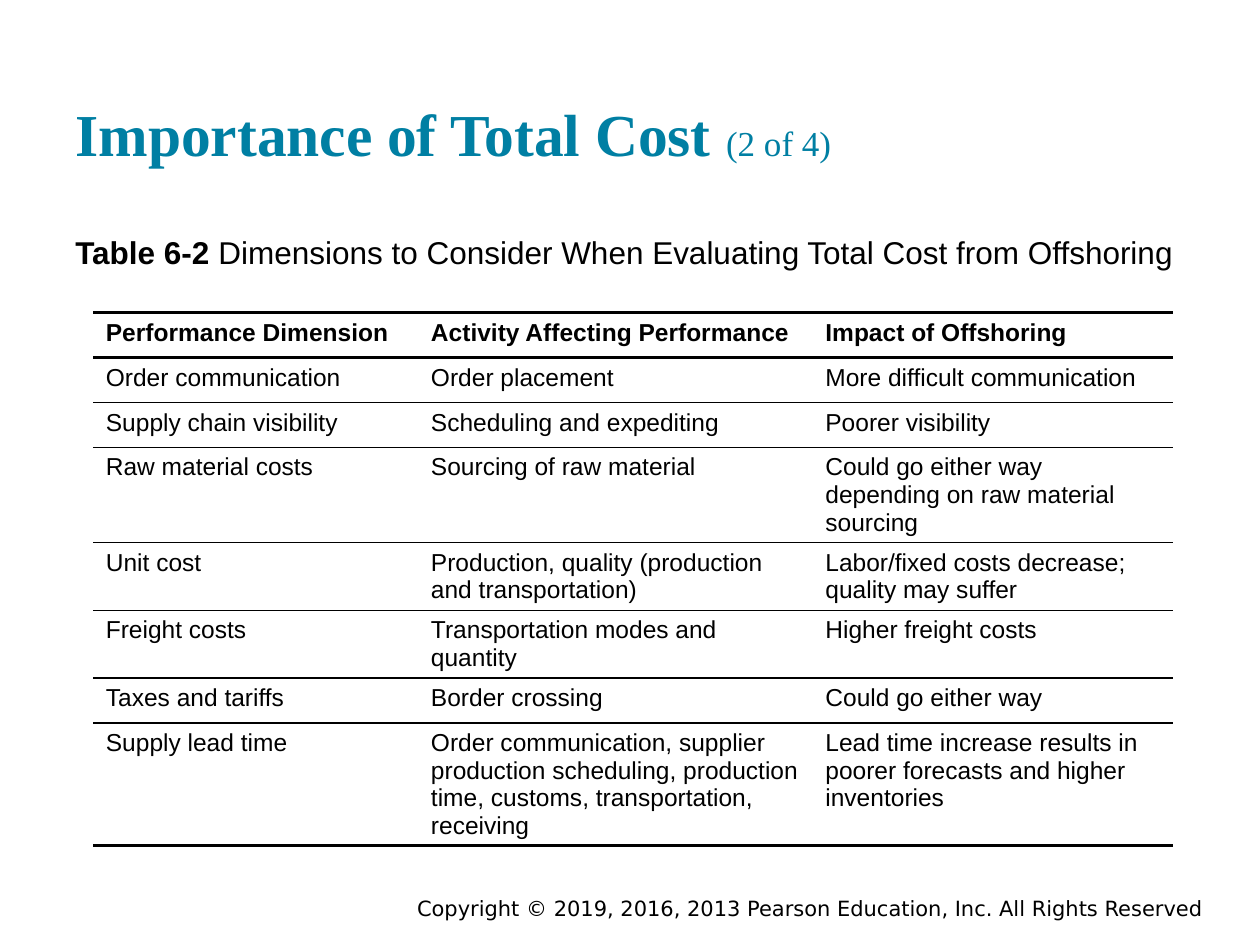
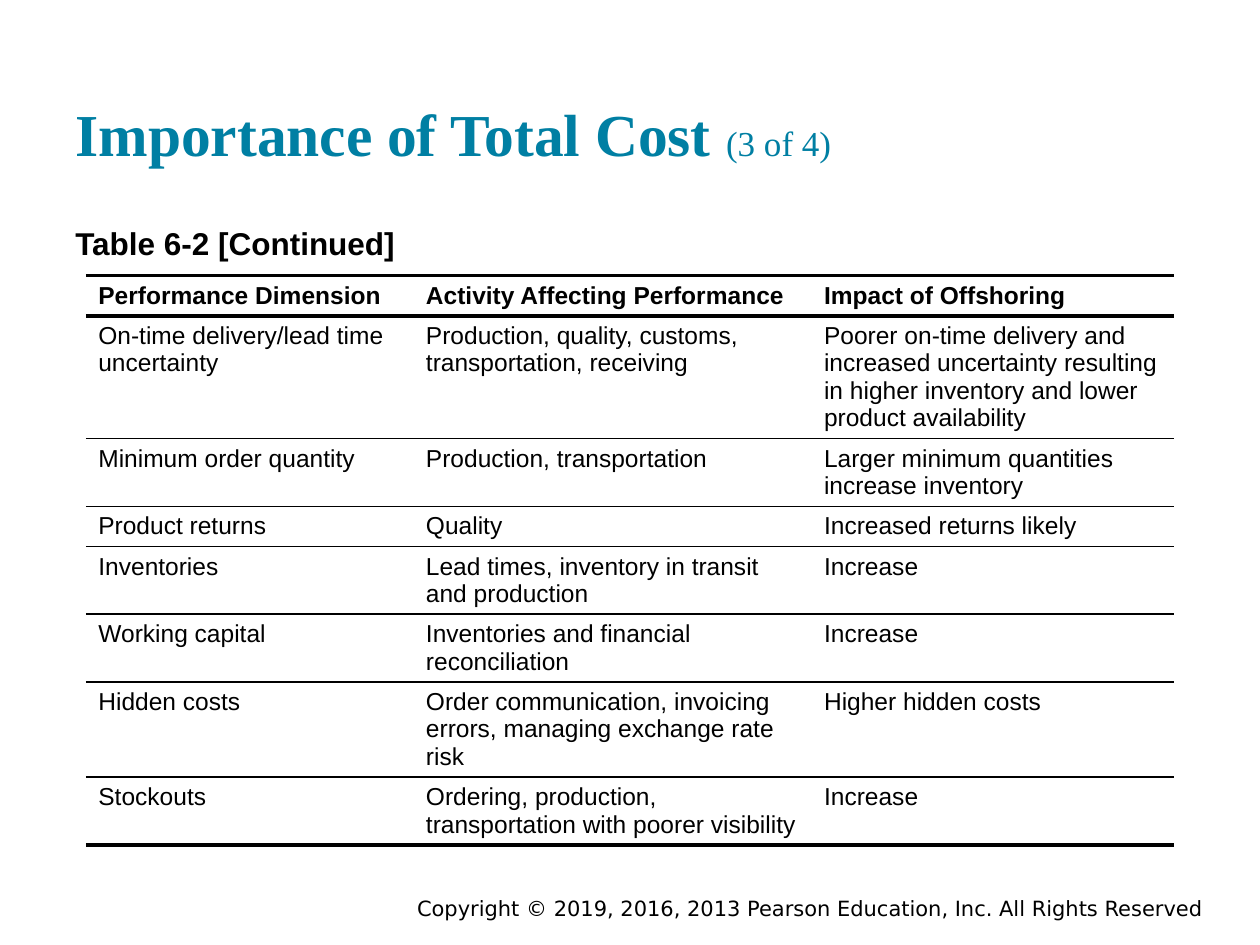
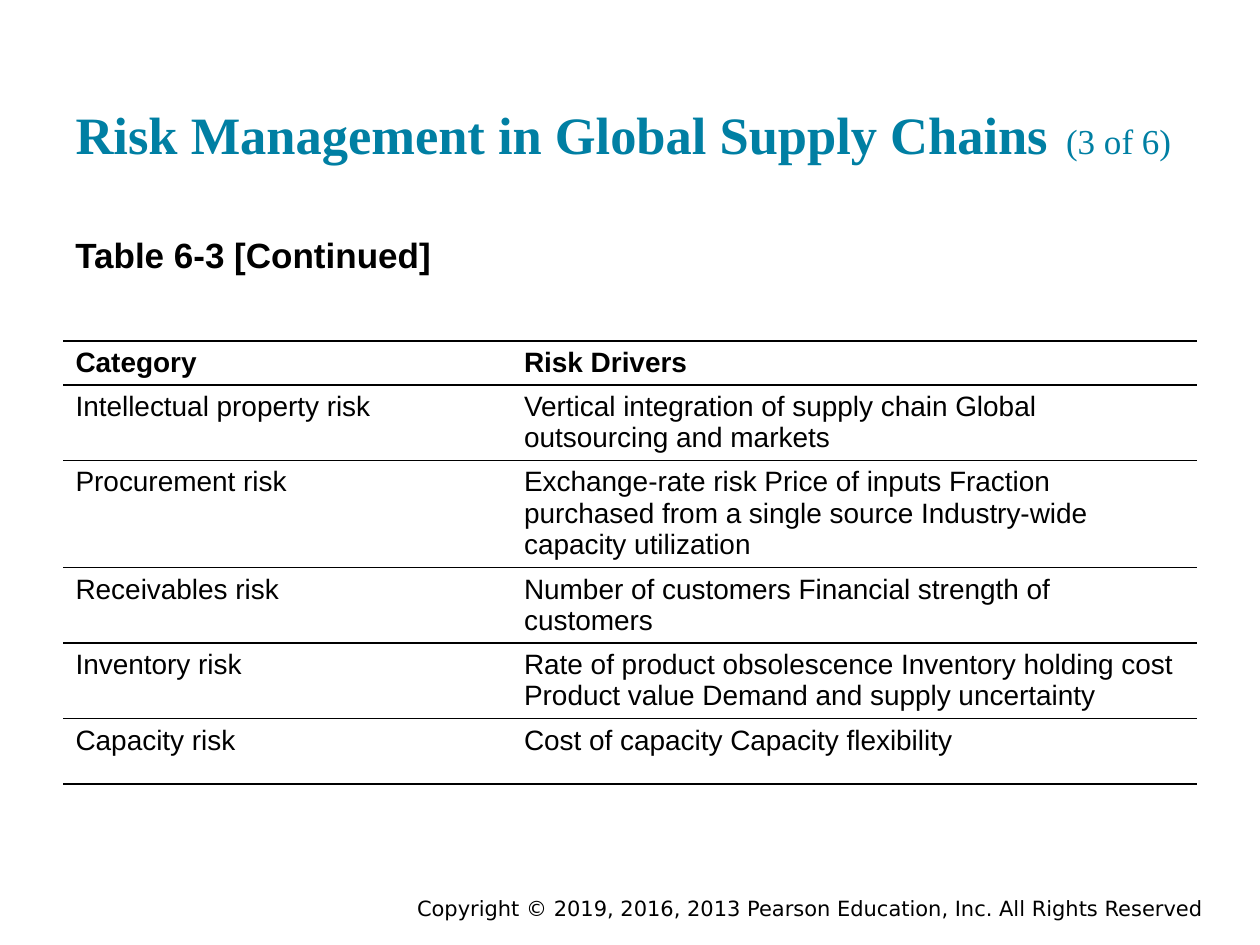
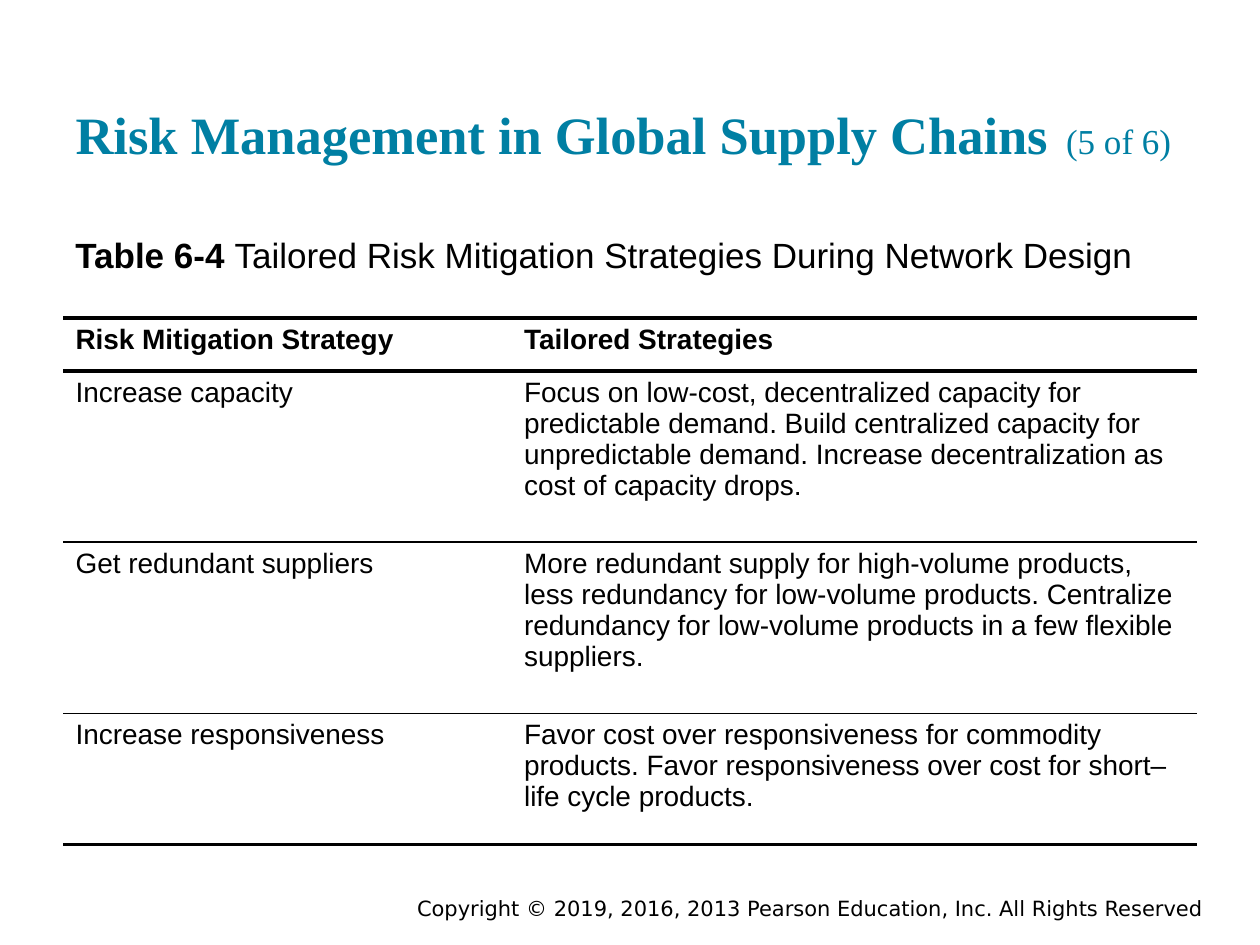
"""Build four slides of supply chain tables with a shared title, caption, table and footer style."""
from lxml import etree
from pptx import Presentation
from pptx.dml.color import RGBColor
from pptx.enum.text import MSO_ANCHOR, MSO_AUTO_SIZE, PP_ALIGN
from pptx.oxml.ns import qn
from pptx.util import Pt

LEFT, RIGHT = PP_ALIGN.LEFT, PP_ALIGN.RIGHT
TOP, MIDDLE, BOTTOM = MSO_ANCHOR.TOP, MSO_ANCHOR.MIDDLE, MSO_ANCHOR.BOTTOM
NO_AUTOFIT = MSO_AUTO_SIZE.NONE

COLORS = {"title": "007FA3", "text": "000000", "paper": "FFFFFF"}
TITLE_FONT, BODY_FONT, FOOTER_FONT = "Times New Roman", "Arial", "DejaVu Sans"
TITLE_ONLY = 5
SLIDE_WIDTH, SLIDE_HEIGHT = 720, 540
MARGIN, CONTENT_WIDTH = 36, 648
TITLE_BOTTOM = 103.3
INSET = 7.2
THIN, THICK = 1, 2.25
FOOTER = "Copyright © 2019, 2016, 2013 Pearson Education, Inc. All Rights Reserved"
FOOTER_BOX = (216, 509.8, 478.8, 18)

COST_TITLE = [("Importance of Total Cost ", 34, True)]
RISK_TITLE = [("Risk Management in Global Supply Chains", 30, True), (" ", 40, True)]
COST_HEADER = ("Performance Dimension", "Activity Affecting Performance", "Impact of Offshoring")
RISK_COLUMNS = (256.3, 391.7)

SLIDES = [
    {
        "title": COST_TITLE, "part": "(2 of 4)", "title_height": 55.4,
        "caption": [("Table 6-2 ", 18, True),
                    ("Dimensions to Consider When Evaluating Total Cost from Offshoring", 18, False)],
        "caption_top": 126, "caption_height": 36.7,
        "table_at": (53.3, 178.6), "columns": (185.8, 225.4, 205.9),
        "row_heights": (25.7, 25.7, 25.7, 37.4, 37.4, 37.4, 25.7, 67.7),
        "size": 14, "frame_line": THICK,
        "rows": [
            COST_HEADER,
            ("Order communication", "Order placement", "More difficult communication"),
            ("Supply chain visibility", "Scheduling and expediting", "Poorer visibility"),
            ("Raw material costs", "Sourcing of raw material",
             "Could go either way depending on raw material sourcing"),
            ("Unit cost", "Production, quality (production and transportation)",
             "Labor/fixed costs decrease; quality may suffer"),
            ("Freight costs", "Transportation modes and quantity", "Higher freight costs"),
            ("Taxes and tariffs", "Border crossing", "Could go either way"),
            ("Supply lead time",
             "Order communication, supplier production scheduling, production time, "
             "customs, transportation, receiving",
             "Lead time increase results in poorer forecasts and higher inventories"),
        ],
    },
    {
        "title": COST_TITLE, "part": "(3 of 4)", "title_height": 55.4,
        "caption": [("Table 6-2 [Continued]", 18, True)],
        "caption_top": 121, "caption_height": 32.4,
        "table_at": (49, 157.5), "columns": (187.2, 227.5, 207.4),
        "row_heights": (22.3, 69.1, 38.2, 22.3, 38.2, 38.2, 54, 38.2),
        "size": 14, "frame_line": THICK,
        "rows": [
            COST_HEADER,
            ("On-time delivery/lead time uncertainty",
             "Production, quality, customs, transportation, receiving",
             "Poorer on-time delivery and increased uncertainty resulting in higher "
             "inventory and lower product availability"),
            ("Minimum order quantity", "Production, transportation",
             "Larger minimum quantities increase inventory"),
            ("Product returns", "Quality", "Increased returns likely"),
            ("Inventories", "Lead times, inventory in transit and production", "Increase"),
            ("Working capital", "Inventories and financial reconciliation", "Increase"),
            ("Hidden costs", "Order communication, invoicing errors, managing exchange rate risk",
             "Higher hidden costs"),
            ("Stockouts", "Ordering, production, transportation with poorer visibility", "Increase"),
        ],
    },
    {
        "title": RISK_TITLE, "part": "(3 of 6)", "title_height": 86.4,
        "caption": [("Table 6-3 [Continued]", 20, True)],
        "caption_top": 126, "caption_height": 42.5,
        "table_at": (MARGIN, 194.9), "columns": RISK_COLUMNS,
        "row_heights": (24.5, 43.2, 61.2, 43.2, 43.2, 37.4),
        "size": 16, "frame_line": THIN,
        "rows": [
            ("Category", "Risk Drivers"),
            ("Intellectual property risk",
             "Vertical integration of supply chain Global outsourcing and markets"),
            ("Procurement risk",
             "Exchange-rate risk Price of inputs Fraction purchased from a single source "
             "Industry-wide capacity utilization"),
            ("Receivables risk", "Number of customers Financial strength of customers"),
            ("Inventory risk",
             "Rate of product obsolescence Inventory holding cost Product value "
             "Demand and supply uncertainty"),
            ("Capacity risk", "Cost of capacity Capacity flexibility"),
        ],
    },
    {
        "title": RISK_TITLE, "part": "(5 of 6)", "title_height": 63.4,
        "caption": [("Table 6-4 ", 20, True),
                    ("Tailored Risk Mitigation Strategies During Network Design", 20, False)],
        "caption_top": 126, "caption_height": 35.3,
        "table_at": (MARGIN, 181.8), "columns": RISK_COLUMNS,
        "row_heights": (30.2, 97.8, 97.8, 74.9),
        "size": 16, "frame_line": THICK,
        "rows": [
            ("Risk Mitigation Strategy", "Tailored Strategies"),
            ("Increase capacity",
             "Focus on low-cost, decentralized capacity for predictable demand. Build "
             "centralized capacity for unpredictable demand. Increase decentralization "
             "as cost of capacity drops."),
            ("Get redundant suppliers",
             "More redundant supply for high-volume products, less redundancy for "
             "low-volume products. Centralize redundancy for low-volume products in a "
             "few flexible suppliers."),
            ("Increase responsiveness",
             "Favor cost over responsiveness for commodity products. Favor "
             "responsiveness over cost for short–life cycle products."),
        ],
    },
]


def write_runs(paragraph, runs, font_name, color):
    for text, size, bold in runs:
        run = paragraph.add_run()
        run.text = text
        run.font.name = font_name
        run.font.size = Pt(size)
        run.font.bold = bold
        run.font.color.rgb = RGBColor.from_string(COLORS[color])


def format_frame(shape, anchor, alignment, inset=INSET):
    frame = shape.text_frame
    frame.word_wrap = True
    frame.auto_size = NO_AUTOFIT
    frame.vertical_anchor = anchor
    frame.margin_left = frame.margin_right = Pt(INSET)
    frame.margin_top = frame.margin_bottom = Pt(inset)
    paragraph = frame.paragraphs[0]
    paragraph.alignment = alignment
    return paragraph


def add_title(slide, content):
    title = slide.shapes.title
    height = content["title_height"]
    title.left, title.top = Pt(MARGIN), Pt(TITLE_BOTTOM - height)
    title.width, title.height = Pt(CONTENT_WIDTH), Pt(height)
    paragraph = format_frame(title, BOTTOM, LEFT)
    write_runs(paragraph, content["title"] + [(content["part"], 20, False)], TITLE_FONT, "title")


def add_text(slide, box, runs, font_name, anchor, alignment, inset=INSET):
    shape = slide.shapes.add_textbox(*map(Pt, box))
    paragraph = format_frame(shape, anchor, alignment, inset)
    write_runs(paragraph, runs, font_name, "text")


def set_border(cell, side, width):
    properties = cell._tc.get_or_add_tcPr()
    line = etree.SubElement(properties, qn(f"a:ln{side}"), w=str(Pt(width)))
    if width:
        fill = etree.SubElement(line, qn("a:solidFill"))
        etree.SubElement(fill, qn("a:srgbClr"), val=COLORS["text"])
    else:
        etree.SubElement(line, qn("a:noFill"))


def add_data_table(slide, content):
    rows, columns, heights = content["rows"], content["columns"], content["row_heights"]
    left, top = content["table_at"]
    table = slide.shapes.add_table(
        len(rows), len(columns), Pt(left), Pt(top), Pt(sum(columns)), Pt(sum(heights))
    ).table
    table.horz_banding = False
    for column, width in zip(table.columns, columns):
        column.width = Pt(width)
    for row, height in zip(table.rows, heights):
        row.height = Pt(height)
    frame_line = content["frame_line"]
    lines = [frame_line] * 2 + [THIN] * (len(rows) - 2) + [frame_line]
    for row_index, texts in enumerate(rows):
        borders = {"L": 0, "R": 0, "T": lines[row_index], "B": lines[row_index + 1]}
        for column_index, text in enumerate(texts):
            cell = table.cell(row_index, column_index)
            for side, width in borders.items():
                set_border(cell, side, width)
            cell.fill.solid()
            cell.fill.fore_color.rgb = RGBColor.from_string(COLORS["paper"])
            runs = [(text, content["size"], row_index == 0)]
            write_runs(cell.text_frame.paragraphs[0], runs, BODY_FONT, "text")


def main():
    presentation = Presentation()
    presentation.slide_width, presentation.slide_height = Pt(SLIDE_WIDTH), Pt(SLIDE_HEIGHT)
    for content in SLIDES:
        slide = presentation.slides.add_slide(presentation.slide_layouts[TITLE_ONLY])
        add_text(slide, FOOTER_BOX, [(FOOTER, 12, False)], FOOTER_FONT, MIDDLE, RIGHT, inset=3.6)
        add_title(slide, content)
        caption_box = (MARGIN, content["caption_top"], CONTENT_WIDTH, content["caption_height"])
        add_text(slide, caption_box, content["caption"], BODY_FONT, TOP, LEFT)
        add_data_table(slide, content)
    presentation.save("out.pptx")


if __name__ == "__main__":
    main()
